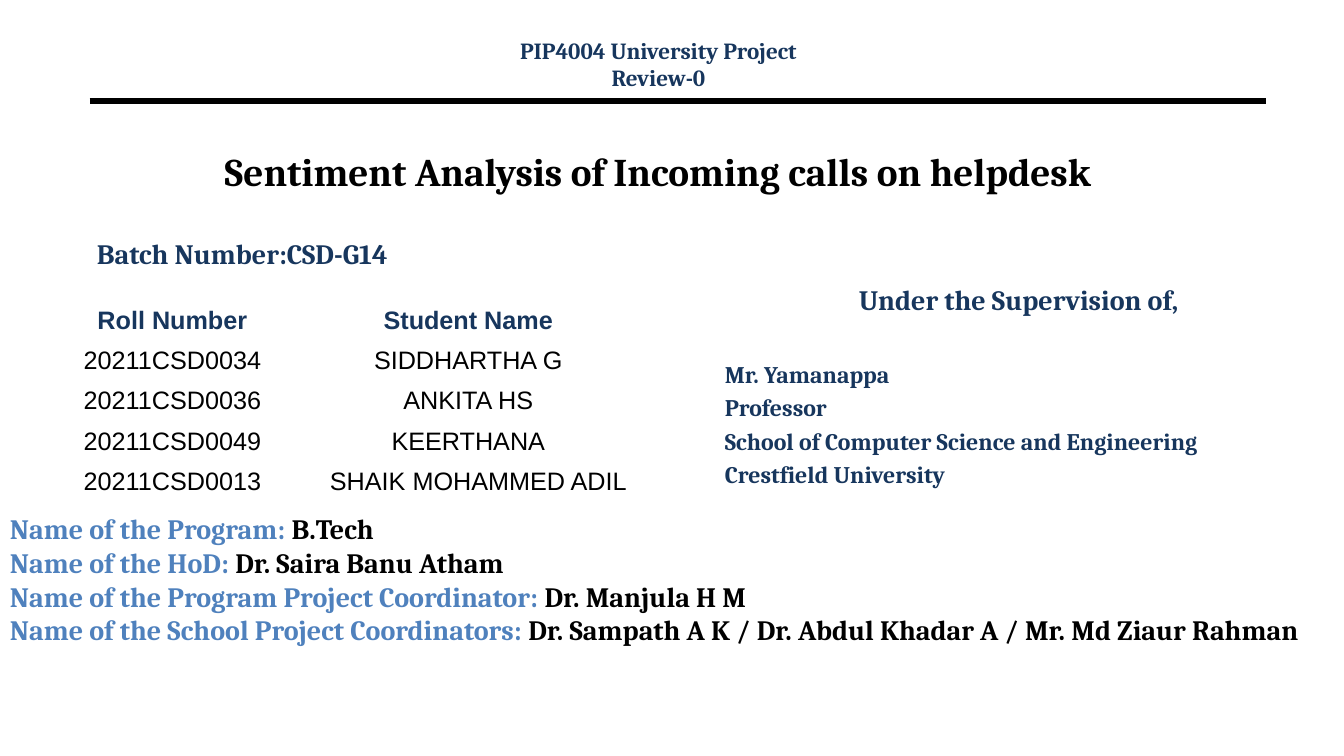
from pptx import Presentation
from pptx import util as u
from pptx.dml.color import RGBColor
from pptx.enum import shapes, text
from pptx.oxml.ns import qn
from lxml import etree

BLACK = RGBColor(0x00, 0x00, 0x00)
NAVY = RGBColor(0x17, 0x36, 0x5D)
BLUE = RGBColor(0x4F, 0x81, 0xBD)
SERIF = "Cambria"
SANS = "Arial"
LEFT = text.PP_ALIGN.LEFT
CENTER = text.PP_ALIGN.CENTER

STUDENTS = [
    ("20211CSD0034", "SIDDHARTHA G"),
    ("20211CSD0036", "ANKITA HS"),
    ("20211CSD0049", "KEERTHANA"),
    ("20211CSD0013", "SHAIK MOHAMMED ADIL"),
]
SUPERVISOR = [
    "Mr. Yamanappa",
    "Professor",
    "School of Computer Science and Engineering",
    "Crestfield University",
]
STAFF = [
    ("Name of the Program: ", "B.Tech"),
    ("Name of the HoD: ", "Dr. Saira Banu Atham"),
    ("Name of the Program Project Coordinator: ", "Dr. Manjula H M"),
    ("Name of the School Project Coordinators: ",
     "Dr. Sampath A K / Dr. Abdul Khadar A / Mr. Md Ziaur Rahman"),
]


def add_run(paragraph, words, size, color, bold=True, font=SERIF):
    run = paragraph.add_run()
    run.text = words
    run.font.size = u.Pt(size)
    run.font.name = font
    run.font.bold = bold
    run.font.color.rgb = color


def write_lines(frame, lines):
    frame.word_wrap = True
    frame.auto_size = text.MSO_AUTO_SIZE.NONE
    for index, (runs, align, before, spacing) in enumerate(lines):
        paragraph = frame.add_paragraph() if index else frame.paragraphs[0]
        paragraph.alignment = align
        paragraph.space_before = u.Pt(before)
        paragraph.line_spacing = spacing
        for words, size, color in runs:
            add_run(paragraph, words, size, color)


def add_text(slide, box, lines):
    frame = slide.shapes.add_textbox(*map(u.Inches, box)).text_frame
    write_lines(frame, lines)


def fill_placeholder(holder, box, anchor, line):
    holder.left, holder.top, holder.width, holder.height = map(u.Inches, box)
    holder.text_frame.vertical_anchor = anchor
    write_lines(holder.text_frame, [line])


def add_rule(slide, left, right, top):
    rule = slide.shapes.add_connector(
        shapes.MSO_CONNECTOR.STRAIGHT,
        u.Inches(left), u.Inches(top), u.Inches(right), u.Inches(top))
    rule.line.color.rgb = BLACK
    rule.line.width = u.Pt(4.5)
    etree.SubElement(rule._element.spPr, qn("a:effectLst"))


def add_students(slide):
    rows = [("Roll Number", "Student Name"), *STUDENTS, ("", "")]
    students = slide.shapes.add_table(
        len(rows), 2, u.Inches(0.6), u.Inches(2.98),
        u.Inches(5.87), u.Inches(0.4 * len(rows))).table
    students.first_row = False
    students.horz_banding = False
    for column, width in zip(students.columns, (2.22, 3.65)):
        column.width = u.Inches(width)
    for r, row in enumerate(rows):
        for c, words in enumerate(row):
            cell = students.cell(r, c)
            cell.fill.background()
            cell.vertical_anchor = text.MSO_ANCHOR.MIDDLE
            paragraph = cell.text_frame.paragraphs[0]
            paragraph.alignment = CENTER
            if words:
                add_run(paragraph, words, 18, BLACK if r else NAVY, r == 0, SANS)
    students.cell(len(STUDENTS), 1).margin_left = u.Inches(0.3)


def main():
    deck = Presentation()
    deck.slide_width, deck.slide_height = u.Inches(13.33), u.Inches(7.5)
    slide = deck.slides.add_slide(deck.slide_layouts[0])

    add_rule(slide, 0.89, 12.56, 1)
    fill_placeholder(
        slide.shapes.title, (0.86, 1.17, 11.33, 1.05), text.MSO_ANCHOR.MIDDLE,
        ([("Sentiment Analysis of Incoming calls on helpdesk", 28, BLACK)],
         CENTER, 0, 1.0))
    fill_placeholder(
        slide.placeholders[1], (0.86, 2.3, 4.34, 0.6), text.MSO_ANCHOR.TOP,
        ([("Batch Number:CSD-G14", 20, NAVY)], LEFT, 0, 1.0))
    add_students(slide)

    supervision = [([("Under the Supervision of,", 20, NAVY)], CENTER, 0, 1.0)]
    for index, words in enumerate(SUPERVISOR):
        before = 3.4 if index else 31.4
        supervision.append(([(words, 17, NAVY)], LEFT, before, 1.0))
    add_text(slide, (7.09, 2.75, 6.03, 2.21), supervision)

    add_text(slide, (4.36, 0.37, 4.34, 0.6), [
        ([("PIP4004 University Project", 16.5, NAVY)], CENTER, 0, 0.8),
        ([("Review-0", 16.5, NAVY)], CENTER, 3.1, 0.8),
    ])
    add_text(slide, (0, 5.03, 13.4, 1.71), [
        ([(role, 20, BLUE), (name, 20, BLACK)], LEFT, 0, 1.0)
        for role, name in STAFF
    ])
    deck.save("out.pptx")


if __name__ == "__main__":
    main()
